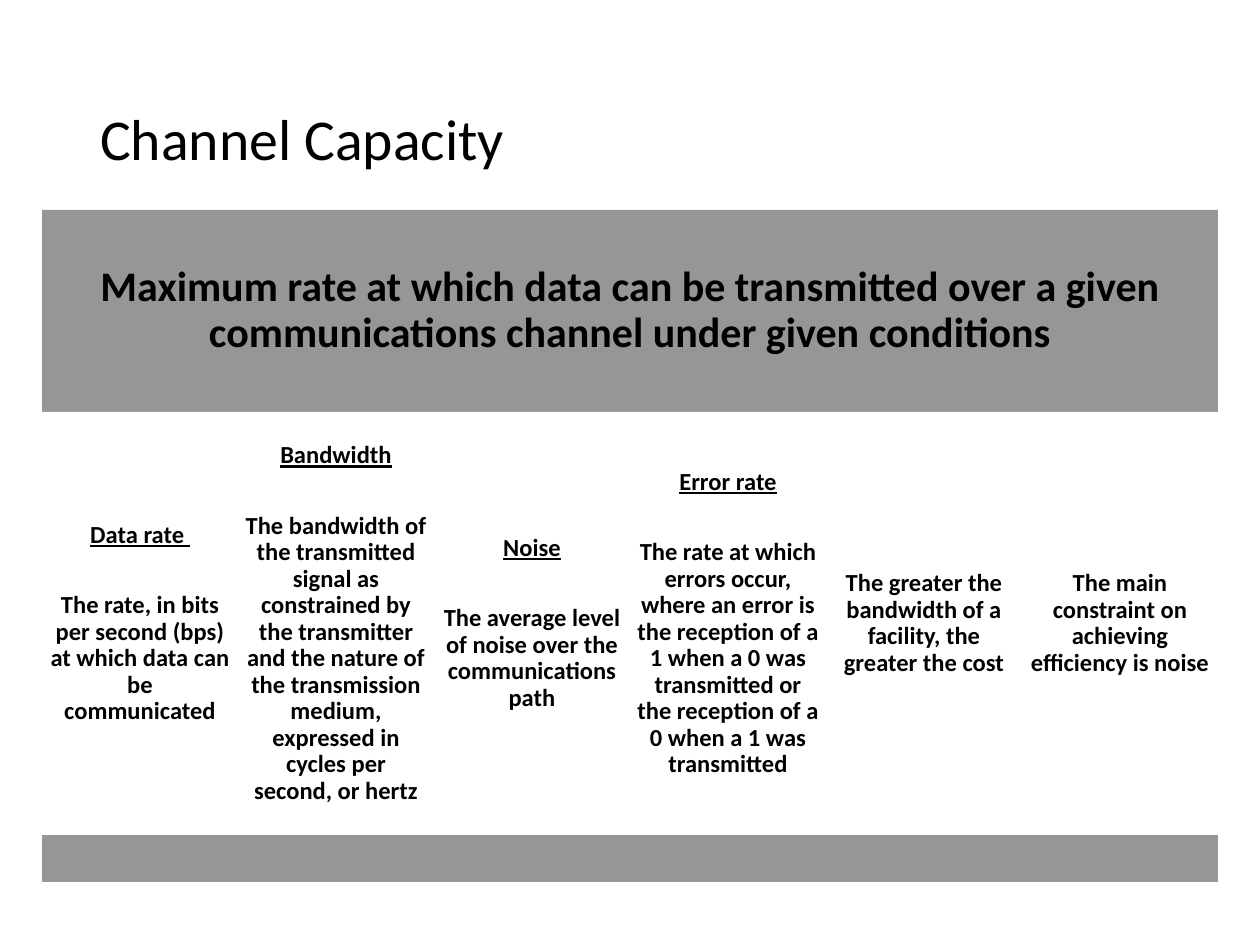
from dataclasses import dataclass

from pptx import Presentation
from pptx.dml.color import RGBColor
from pptx.enum.shapes import MSO_SHAPE
from pptx.enum.text import MSO_ANCHOR, MSO_AUTO_SIZE, PP_ALIGN
from pptx.shapes.autoshape import Shape
from pptx.slide import Slide
from pptx.text.text import TextFrame
from pptx.util import Emu, Pt

RECTANGLE = MSO_SHAPE.RECTANGLE
MIDDLE = MSO_ANCHOR.MIDDLE
NO_AUTOFIT = MSO_AUTO_SIZE.NONE
LEFT, CENTER = PP_ALIGN.LEFT, PP_ALIGN.CENTER

EMU_PER_PX = 914400 / 126
SLIDE_WIDTH, SLIDE_HEIGHT = 1260, 945


@dataclass(frozen=True)
class Theme:
    font: str = "Calibri"
    text: RGBColor = RGBColor(0, 0, 0)
    band: RGBColor = RGBColor(0x96, 0x96, 0x96)
    column: RGBColor = RGBColor(0xFF, 0xFF, 0xFF)
    title_size: int = 33
    band_size: int = 24
    column_size: int = 14
    heading_gap: int = 25
    line_spacing: float = 0.9


@dataclass(frozen=True)
class Box:
    left: int
    top: int
    width: int
    height: int


@dataclass(frozen=True)
class Column:
    body: str
    heading: str = ""


THEME = Theme()
TITLE = Box(87, 50, 1086, 183)
HEADER = Box(42, 210, 1176, 202)
COLUMN_HEIGHT = 423
FOOTER_HEIGHT = 47
HEADER_INSET, COLUMN_INSET = 13, 7

COLUMNS = [
    Column("The rate, in bits per second (bps) at which data can be communicated", "Data rate "),
    Column(
        "The bandwidth of the transmitted signal as constrained by the transmitter "
        "and the nature of the transmission medium, expressed in cycles per second, or hertz",
        "Bandwidth",
    ),
    Column("The average level of noise over the communications path", "Noise"),
    Column(
        "The rate at which errors occur, where an error is the reception of a 1 when a 0 was "
        "transmitted or the reception of a 0 when a 1 was transmitted",
        "Error rate",
    ),
    Column("The greater the bandwidth of a facility, the greater the cost"),
    Column("The main constraint on achieving efficiency is noise"),
]


def px(length: int) -> Emu:
    return Emu(round(length * EMU_PER_PX))


def place(shape: Shape, box: Box) -> None:
    shape.left, shape.top = px(box.left), px(box.top)
    shape.width, shape.height = px(box.width), px(box.height)


def prepare_frame(frame: TextFrame, inset: int) -> None:
    frame.word_wrap = True
    frame.auto_size = NO_AUTOFIT
    frame.vertical_anchor = MIDDLE
    frame.margin_left = frame.margin_right = px(inset)
    frame.margin_top = frame.margin_bottom = px(inset)


def write(
    frame: TextFrame,
    text: str,
    *,
    size: int,
    bold: bool = True,
    underline: bool = False,
    alignment: PP_ALIGN = CENTER,
    gap_before: int = 0,
) -> None:
    paragraph = frame.add_paragraph() if frame.text else frame.paragraphs[0]
    paragraph.alignment = alignment
    paragraph.line_spacing = THEME.line_spacing
    paragraph.space_before = Pt(gap_before)
    run = paragraph.add_run()
    run.text = text
    run.font.name = THEME.font
    run.font.size = Pt(size)
    run.font.bold = bold
    run.font.underline = underline
    run.font.color.rgb = THEME.text


def add_rectangle(slide: Slide, box: Box, fill: RGBColor, inset: int) -> Shape:
    shape = slide.shapes.add_shape(RECTANGLE, 0, 0, 0, 0)
    place(shape, box)
    shape.shadow.inherit = False
    shape.fill.solid()
    shape.fill.fore_color.rgb = fill
    shape.line.fill.background()
    prepare_frame(shape.text_frame, inset)
    return shape


def add_column(slide: Slide, box: Box, column: Column) -> None:
    frame = add_rectangle(slide, box, THEME.column, COLUMN_INSET).text_frame
    if column.heading:
        write(frame, column.heading, size=THEME.column_size, underline=True)
    gap = THEME.heading_gap if column.heading else 0
    write(frame, column.body, size=THEME.column_size, gap_before=gap)


def main() -> None:
    presentation = Presentation()
    presentation.slide_width = px(SLIDE_WIDTH)
    presentation.slide_height = px(SLIDE_HEIGHT)
    slide = presentation.slides.add_slide(presentation.slide_layouts.get_by_name("Title Only"))

    title = slide.shapes.title
    place(title, TITLE)
    prepare_frame(title.text_frame, HEADER_INSET)
    write(title.text_frame, "Channel Capacity", size=THEME.title_size, bold=False, alignment=LEFT)

    header = add_rectangle(slide, HEADER, THEME.band, HEADER_INSET)
    write(
        header.text_frame,
        "Maximum rate at which data can be transmitted over a given "
        "communications channel under given conditions",
        size=THEME.band_size,
    )

    column_top = HEADER.top + HEADER.height
    column_width = HEADER.width // len(COLUMNS)
    for index, column in enumerate(COLUMNS):
        left = HEADER.left + index * column_width
        add_column(slide, Box(left, column_top, column_width, COLUMN_HEIGHT), column)

    footer = Box(HEADER.left, column_top + COLUMN_HEIGHT, HEADER.width, FOOTER_HEIGHT)
    add_rectangle(slide, footer, THEME.band, HEADER_INSET)

    presentation.save("out.pptx")


if __name__ == "__main__":
    main()
